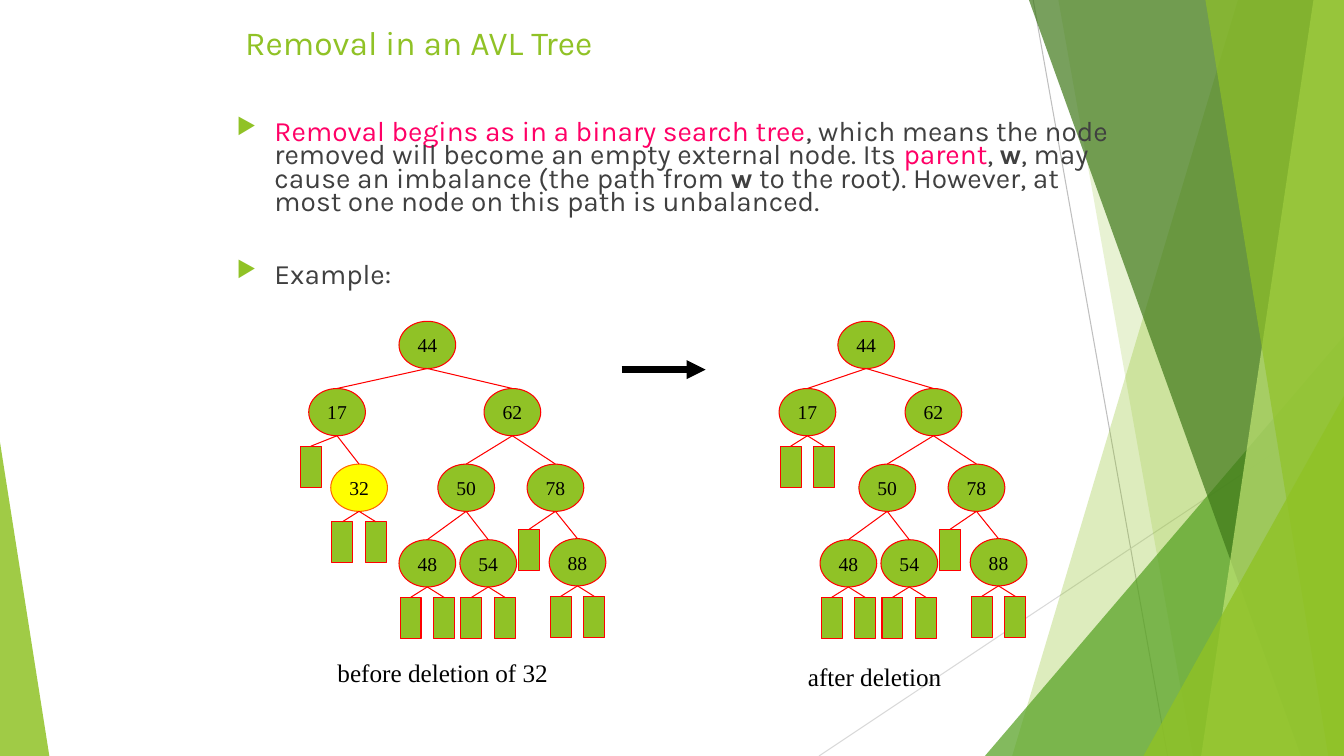
from lxml import etree
from pptx import Presentation
from pptx.dml.color import RGBColor
from pptx.enum.shapes import MSO_CONNECTOR, MSO_SHAPE
from pptx.enum.text import MSO_ANCHOR, PP_ALIGN
from pptx.oxml.ns import qn
from pptx.util import Emu, Pt

STRAIGHT = MSO_CONNECTOR.STRAIGHT
OVAL, RECTANGLE, TRIANGLE = MSO_SHAPE.OVAL, MSO_SHAPE.RECTANGLE, MSO_SHAPE.ISOSCELES_TRIANGLE
MIDDLE, TOP = MSO_ANCHOR.MIDDLE, MSO_ANCHOR.TOP
CENTER, LEFT = PP_ALIGN.CENTER, PP_ALIGN.LEFT

PX = 9525  # EMU per px
WIDTH, HEIGHT = 1280, 720
NODE_WIDTH, NODE_HEIGHT = 54, 45
LEAF_WIDTH, LEAF_HEIGHT = 20, 39
SANS, SERIF = "Karla", "Times New Roman"
COLORS = {
    "green": "90C226", "mid_green": "54A021", "dark_green": "3F7819", "pale_green": "C0E474",
    "red": "FF0000", "orange": "FF6600", "yellow": "FFFF00", "pink": "FF0066",
    "text": "404040", "black": "000000", "grey": "BFBFBF", "light_grey": "D9D9D9",
}


def px(value):
    return Emu(value * PX)


def color(name):
    return RGBColor.from_string(COLORS[name])


def style_shape(shape, fill, line=None, opacity=100):
    shape.shadow.inherit = False
    shape.fill.solid()
    shape.fill.fore_color.rgb = color(fill)
    if opacity < 100:
        tint = shape.fill._xPr.find(".//" + qn("a:srgbClr"))
        etree.SubElement(tint, qn("a:alpha")).set("val", str(opacity * 1000))
    if line:
        shape.line.color.rgb = color(line)
        shape.line.width = Pt(0.75)
    else:
        shape.line.fill.background()


def add_shape(slide, kind, left, top, width, height, fill, line=None, opacity=100):
    shape = slide.shapes.add_shape(kind, px(left), px(top), px(width), px(height))
    style_shape(shape, fill, line, opacity)
    return shape


def add_line(slide, start, end, line, width=0.75, arrow=False):
    connector = slide.shapes.add_connector(STRAIGHT, *map(px, start + end))
    connector.line.color.rgb = color(line)
    connector.line.width = Pt(width)
    if arrow:
        etree.SubElement(connector.line._get_or_add_ln(), qn("a:tailEnd")).set("type", "triangle")
    etree.SubElement(connector._element.spPr, qn("a:effectLst"))
    return connector


def add_run(paragraph, text, font, size, name, bold=False):
    run = paragraph.add_run()
    run.text = text
    run.font.name = font
    run.font.size = Pt(size)
    run.font.bold = bold
    run.font.color.rgb = color(name)


def add_text_box(slide, left, top, width, height, wrap=True):
    frame = slide.shapes.add_textbox(px(left), px(top), px(width), px(height)).text_frame
    frame.word_wrap = wrap
    frame.vertical_anchor = TOP
    frame.paragraphs[0].alignment = LEFT
    return frame


def add_bullet(paragraph, space_before, runs):
    properties = paragraph._p.get_or_add_pPr()
    properties.set("marL", str(px(36)))
    properties.set("indent", str(px(-36)))
    bullet_color = etree.SubElement(properties, qn("a:buClr"))
    etree.SubElement(bullet_color, qn("a:srgbClr")).set("val", COLORS["green"])
    etree.SubElement(properties, qn("a:buSzPct")).set("val", "80000")
    etree.SubElement(properties, qn("a:buChar")).set("char", "▶")
    paragraph.line_spacing = 0.7
    paragraph.space_before = Pt(space_before)
    for text, name, bold in runs:
        add_run(paragraph, text, SANS, 20, name, bold)


# Tree data: a node is (label, centre x, top, children); a leaf has no label
def leaf(x, top):
    return None, x, top, []


def node(label, x, top, *children):
    return label, x, top, children


def node_with_leaves(label, x, top):
    return node(label, x, top, leaf(x - 16, top + 55), leaf(x + 16, top + 55))


def draw_tree(slide, tree, shift=0, highlighted=None):
    label, x, top, children = tree
    x += shift
    if label is None:
        return add_shape(slide, RECTANGLE, x - LEAF_WIDTH // 2, top,
                         LEAF_WIDTH, LEAF_HEIGHT, "green", "red")
    fill, line = ("yellow", "orange") if label == highlighted else ("green", "red")
    oval = add_shape(slide, OVAL, x - NODE_WIDTH // 2, top, NODE_WIDTH, NODE_HEIGHT, fill, line)
    frame = oval.text_frame
    frame.word_wrap = False
    frame.vertical_anchor = MIDDLE
    frame.paragraphs[0].alignment = CENTER
    add_run(frame.paragraphs[0], label, SERIF, 14, "black")
    for child in children:
        child_shape = draw_tree(slide, child, shift, highlighted)
        edge = add_line(slide, (x, top + NODE_HEIGHT), (child[1] + shift, child[2]), "red")
        edge.end_connect(child_shape, 0)
    return oval


def add_band(slide, top_x, bottom_x, fill, opacity):
    builder = slide.shapes.build_freeform(top_x, 0, scale=PX)
    builder.add_line_segments([(WIDTH, 0), (WIDTH, HEIGHT), (bottom_x, HEIGHT)])
    style_shape(builder.convert_to_shape(), fill, opacity=opacity)


def add_corner(slide, left, top, width, apex, fill, opacity):
    corner = add_shape(slide, TRIANGLE, left, top, width, HEIGHT - top, fill, opacity=opacity)
    corner.adjustments[0] = apex


def add_background(slide):
    add_line(slide, (984, 0), (1112, HEIGHT), "grey")
    add_line(slide, (WIDTH, 387), (780, HEIGHT), "light_grey")
    add_band(slide, 1179, 964, "green", 30)
    add_band(slide, 1008, 1136, "green", 20)
    add_corner(slide, 938, 320, 342, 1, "mid_green", 72)
    add_band(slide, 980, 1239, "dark_green", 70)
    add_band(slide, 1251, 1144, "pale_green", 70)
    add_band(slide, 1148, 1265, "green", 65)
    add_corner(slide, 1089, 377, 191, 1, "green", 80)
    add_corner(slide, 0, 421, 47, 0, "green", 85)


def add_body(slide):
    frame = add_text_box(slide, 216, 112, 856, 176)
    add_bullet(frame.paragraphs[0], 0, [
        ("Removal begins as in a binary search tree", "pink", False),
        (", which means the node removed will become an empty external node. Its ", "text", False),
        ("parent", "pink", False),
        (", ", "text", False),
        ("w", "text", True),
        (", may cause an imbalance (the path from ", "text", False),
        ("w", "text", True),
        (" to the root). However, at most one node on this path is unbalanced.", "text", False),
    ])
    add_bullet(frame.add_paragraph(), 35, [("Example:", "text", False)])


def add_trees(slide):
    # The subtree at 62 is the same before and after
    right = node("62", 488, 370,
                 node("50", 444, 442,
                      node_with_leaves("48", 407, 514), node_with_leaves("54", 465, 514)),
                 node("78", 529, 442, leaf(504, 504), node_with_leaves("88", 550, 513)))
    left = node("17", 321, 370, leaf(296, 425), node_with_leaves("32", 342, 442))
    draw_tree(slide, node("44", 407, 306, left, right), highlighted="32")
    draw_tree(slide, node("44", 424, 306, node_with_leaves("17", 368, 370), right), shift=401)


def main():
    presentation = Presentation()
    presentation.slide_width, presentation.slide_height = px(WIDTH), px(HEIGHT)
    slide = presentation.slides.add_slide(presentation.slide_layouts[6])
    add_background(slide)

    # Title and text
    title = add_text_box(slide, 224, 16, 816, 64)
    add_run(title.paragraphs[0], "Removal in an AVL Tree", SANS, 24, "green")
    add_body(slide)

    # Trees, captions and the arrow between them
    add_trees(slide)
    for text, left, top, width in [("before deletion of 32", 312, 621, 222),
                                   ("after deletion", 760, 625, 148)]:
        caption = add_text_box(slide, left, top, width, 38, wrap=False)
        add_run(caption.paragraphs[0], text, SERIF, 18, "black")
    add_line(slide, (592, 352), (672, 352), "black", 4.5, arrow=True)

    presentation.save("out.pptx")


if __name__ == "__main__":
    main()
